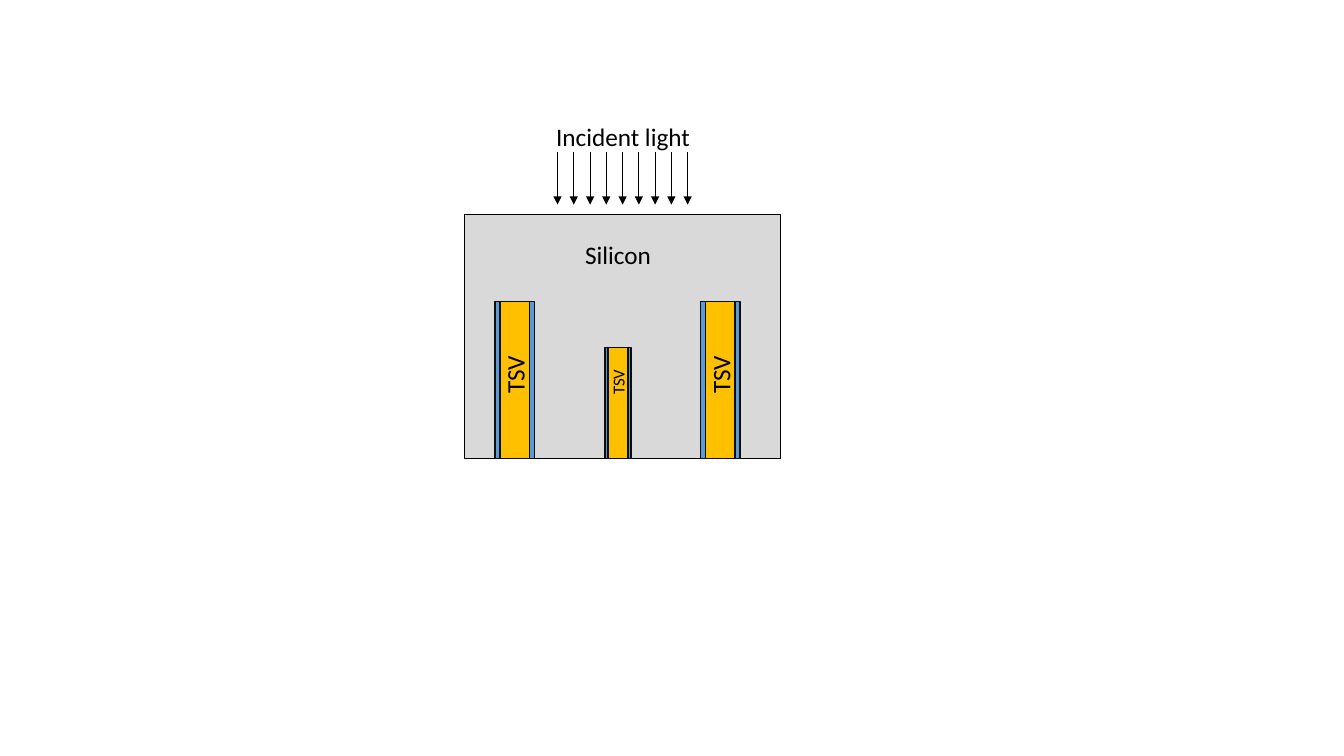
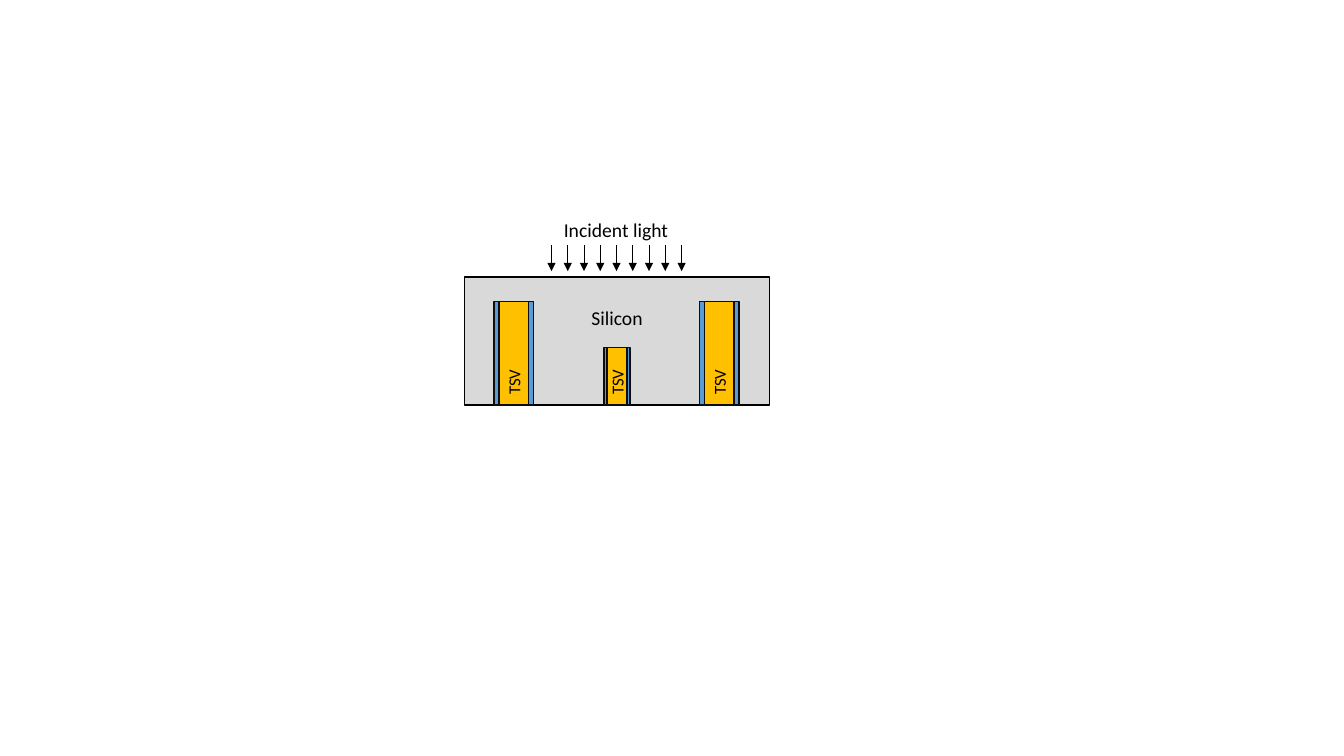
from lxml import etree
from pptx import Presentation
from pptx import util as u
from pptx.dml import color
from pptx.enum import shapes, text
from pptx.oxml import ns

PX = 9144
FONT = "Calibri"
COLORS = {
    "ink": "000000",
    "edge": "0D0D0D",
    "silicon": "D9D9D9",
    "metal": "FFC000",
    "liner": "5B9BD5",
}
FRAME_FORMAT = {
    "word_wrap": False,
    "auto_size": text.MSO_AUTO_SIZE.SHAPE_TO_FIT_TEXT,
    "vertical_anchor": text.MSO_ANCHOR.TOP,
}
LABEL_HEIGHTS = {18: 40, 14: 34, 12: 30}
ARROW_COUNT = 9
ARROW_SPAN = 129
WIDE_VIA = {"liner": 5, "core": 29}
NARROW_VIA = {"liner": 3, "core": 20}

SECTIONS = [
    {
        "block": (461, 213, 313, 242),
        "label_size": 18,
        "silicon": (152, 20),
        "light": {"at": (553, 151), "length": 52, "label": (618, 115)},
        "vias": [
            {"at": (30, 86), "size": 18, "label_y": 159, **WIDE_VIA},
            {"at": (234, 86), "size": 18, "label_y": 159, **WIDE_VIA},
            {"at": (139, 132), "size": 12, "label_y": 166, **NARROW_VIA},
        ],
    },
    {
        "block": (461, 275, 302, 127),
        "label_size": 14,
        "silicon": (151, 24),
        "light": {"at": (547, 243), "length": 26, "label": (611, 211)},
        "vias": [
            {"at": (29, 24), "size": 12, "label_y": 104, **WIDE_VIA},
            {"at": (233, 24), "size": 12, "label_y": 104, **WIDE_VIA},
            {"at": (138, 70), "size": 12, "label_y": 104, **NARROW_VIA},
        ],
    },
]


def emu(*lengths):
    """Turn px lengths into EMU."""
    return [u.Emu(round(length * PX)) for length in lengths]


def rgb(name):
    """Look up a palette colour."""
    return color.RGBColor.from_string(COLORS[name])


def add_layer(parent, box, fill, edge):
    """Draw one outlined layer of material."""
    layer = parent.add_shape(shapes.MSO_SHAPE.RECTANGLE, *emu(*box))
    layer.shadow.inherit = False
    layer.fill.solid()
    layer.fill.fore_color.rgb = rgb(fill)
    layer.line.color.rgb = rgb(edge)
    layer.line.width = u.Pt(1)


def add_label(parent, wording, center, top, width, size, rotation=0):
    """Write a one-line label centred on a given x."""
    box = (center - width / 2, top, width, LABEL_HEIGHTS[size])
    label = parent.add_textbox(*emu(*box))
    label.rotation = rotation
    for name, value in FRAME_FORMAT.items():
        setattr(label.text_frame, name, value)
    paragraph = label.text_frame.paragraphs[0]
    paragraph.alignment = text.PP_ALIGN.CENTER
    run = paragraph.add_run()
    run.text = wording
    for name, value in {"name": FONT, "size": u.Pt(size)}.items():
        setattr(run.font, name, value)
    run.font.color.rgb = rgb("ink")


def add_ray(parent, x, top, bottom):
    """Draw one downward light arrow."""
    ray = parent.add_connector(shapes.MSO_CONNECTOR.STRAIGHT, *emu(x, top, x, bottom))
    ray.line.color.rgb = rgb("ink")
    ray.line.width = u.Pt(0.5)
    etree.SubElement(ray.line._get_or_add_ln(), ns.qn("a:tailEnd"), type="triangle")
    etree.SubElement(ray._element.spPr, ns.qn("a:effectLst"))


def add_light(slide, light, size):
    """Place the evenly spaced rays and their label."""
    left, top = light["at"]
    rays = slide.shapes.add_group_shape().shapes
    for index in range(ARROW_COUNT):
        x = left + ARROW_SPAN * index / (ARROW_COUNT - 1)
        add_ray(rays, x, top, top + light["length"])
    center, label_top = light["label"]
    add_label(slide.shapes, "Incident light", center, label_top, 9 * size + 4, size)


def add_via(slide, block, via):
    """Place a lined via that stands on the bottom of the block."""
    block_left, block_top, _, block_height = block
    dx, dy = via["at"]
    left, top, height = block_left + dx, block_top + dy, block_height - dy
    liner, core = via["liner"], via["core"]
    stack = slide.shapes.add_group_shape().shapes
    add_layer(stack, (left + liner, top, core, height), "metal", "edge")
    for x in (left, left + liner + core):
        add_layer(stack, (x, top, liner, height), "liner", "edge")
    size = via["size"]
    label_top = block_top + via["label_y"] - LABEL_HEIGHTS[size] / 2
    add_label(slide.shapes, "TSV", left + liner + core / 2, label_top,
              2 * size + 22, size, 270)


def add_section(slide, section):
    """Draw one cross-section of the silicon with its vias and light."""
    block, size = section["block"], section["label_size"]
    add_layer(slide.shapes, block, "silicon", "ink")
    for via in section["vias"]:
        add_via(slide, block, via)
    dx, dy = section["silicon"]
    add_label(slide.shapes, "Silicon", block[0] + dx, block[1] + dy, 4 * size + 20, size)
    add_light(slide, section["light"], size)


def main():
    """Build and save the deck."""
    deck = Presentation()
    deck.slide_width, deck.slide_height = emu(1333, 750)
    for section in SECTIONS:
        add_section(deck.slides.add_slide(deck.slide_layouts[6]), section)
    deck.save("out.pptx")


if __name__ == "__main__":
    main()
